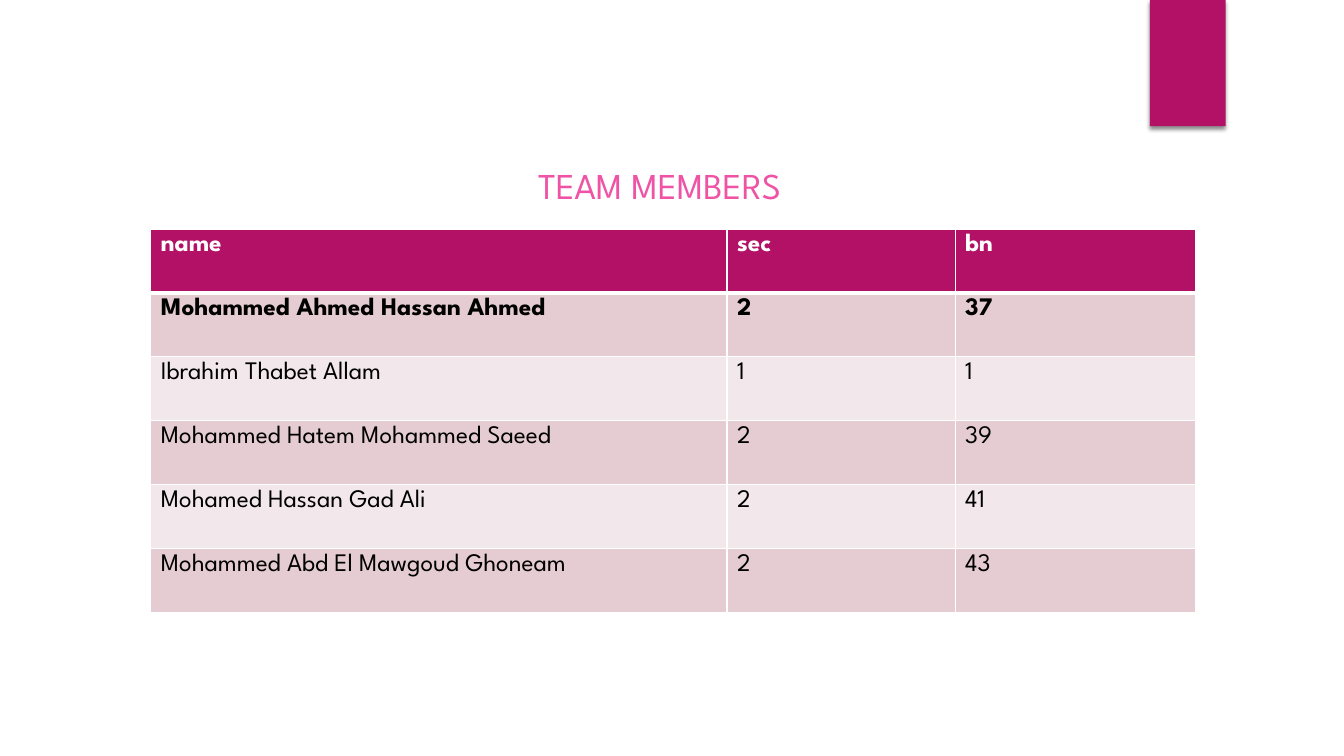
import pptx
import pptx.util
import pptx.dml.color
import pptx.enum.shapes
import pptx.enum.text
import pptx.oxml
import pptx.oxml.ns

Cm = pptx.util.Cm
Pt = pptx.util.Pt

COLOURS = {
    "accent": "B31166",
    "title": "EF53A5",
    "band_dark": "E5CCD3",
    "band_light": "F2E7EA",
    "text": "000000",
    "white": "FFFFFF",
}

MEMBERS = [
    ("name", "sec", "bn"),
    ("Mohammed Ahmed Hassan Ahmed", "2", "37"),
    ("Ibrahim Thabet Allam", "1", "1"),
    ("Mohammed Hatem Mohammed Saeed", "2", "39"),
    ("Mohamed Hassan Gad Ali", "2", "41"),
    ("Mohammed Abd El Mawgoud Ghoneam", "2", "43"),
]


class SlideBuilder:
    font_name = "League Spartan"
    namespace = pptx.oxml.ns.nsdecls("a")

    def __init__(self, slide):
        self.slide = slide

    def colour(self, key):
        return pptx.dml.color.RGBColor.from_string(COLOURS[key])

    def apply(self, target, formats):
        for attribute, value in formats.items():
            setattr(target, attribute, value)

    def paint(self, fill, key):
        fill.solid()
        fill.fore_color.rgb = self.colour(key)

    def label(self, frame, text, size, key, bold=False):
        frame.text = text
        font = frame.paragraphs[0].font
        self.apply(font, {"name": self.font_name, "size": Pt(size), "bold": bold})
        font.color.rgb = self.colour(key)

    def title(self, text, left, top, width, height):
        heading = self.slide.shapes.title
        self.apply(heading, {"left": left, "top": top, "width": width, "height": height})
        frame = heading.text_frame
        self.label(frame, text, 26, "title")
        self.apply(frame, {
            "word_wrap": True,
            "auto_size": pptx.enum.text.MSO_AUTO_SIZE.NONE,
            "vertical_anchor": pptx.enum.text.MSO_ANCHOR.TOP,
            "margin_top": Cm(0.48),
        })
        self.apply(frame.paragraphs[0], {
            "alignment": pptx.enum.text.PP_ALIGN.CENTER,
            "line_spacing": 1.0,
        })

    def ribbon(self, left, top, width, height):
        ribbon = self.slide.shapes.add_shape(
            pptx.enum.shapes.MSO_SHAPE.RECTANGLE, left, top, width, height)
        self.paint(ribbon.fill, "accent")
        ribbon.line.fill.background()
        ribbon.shadow.inherit = False
        effects = ribbon._element.spPr.find(pptx.oxml.ns.qn("a:effectLst"))
        effects.append(pptx.oxml.parse_xml(
            f'<a:outerShdw {self.namespace} blurRad="{Pt(3)}" dist="{Pt(2)}" '
            f'dir="5400000" rotWithShape="0"><a:srgbClr val="{COLOURS["text"]}">'
            '<a:alpha val="45000"/></a:srgbClr></a:outerShdw>'))

    def borders(self, cell, widths):
        properties = cell._tc.get_or_add_tcPr()
        for side, width in widths.items():
            properties.append(pptx.oxml.parse_xml(
                f'<a:ln{side} {self.namespace} w="{Pt(width)}"><a:solidFill>'
                f'<a:srgbClr val="{COLOURS["white"]}"/></a:solidFill></a:ln{side}>'))

    def table(self, rows, left, top, column_widths, row_height):
        members = self.slide.shapes.add_table(
            len(rows), len(column_widths), left, top,
            sum(column_widths), row_height * len(rows)).table
        members.horz_banding = False
        for column, width in zip(members.columns, column_widths):
            column.width = width
        for index, values in enumerate(rows):
            members.rows[index].height = row_height
            is_header = index == 0
            band = "accent" if is_header else ("band_light", "band_dark")[index % 2]
            widths = {"L": 1, "R": 1, "T": 3 if index == 1 else 1, "B": 3 if is_header else 1}
            for position, value in enumerate(values):
                cell = members.cell(index, position)
                self.label(cell.text_frame, value, 18,
                           "white" if is_header else "text", bold=index < 2)
                self.borders(cell, widths)
                self.paint(cell.fill, band)


def main():
    deck = pptx.Presentation()
    deck.slide_width, deck.slide_height = Cm(33.87), Cm(19.05)
    team = SlideBuilder(deck.slides.add_slide(deck.slide_layouts[5]))
    team.ribbon(Cm(28.98), Cm(0), Cm(1.91), Cm(3.18))
    team.title("TEAM MEMBERS", Cm(12.55), Cm(3.63), Cm(8.15), Cm(1.57))
    team.table(MEMBERS, Cm(3.8), Cm(5.77), [Cm(14.52), Cm(5.75), Cm(6.05)], Cm(1.61))
    deck.save("out.pptx")


if __name__ == "__main__":
    main()
